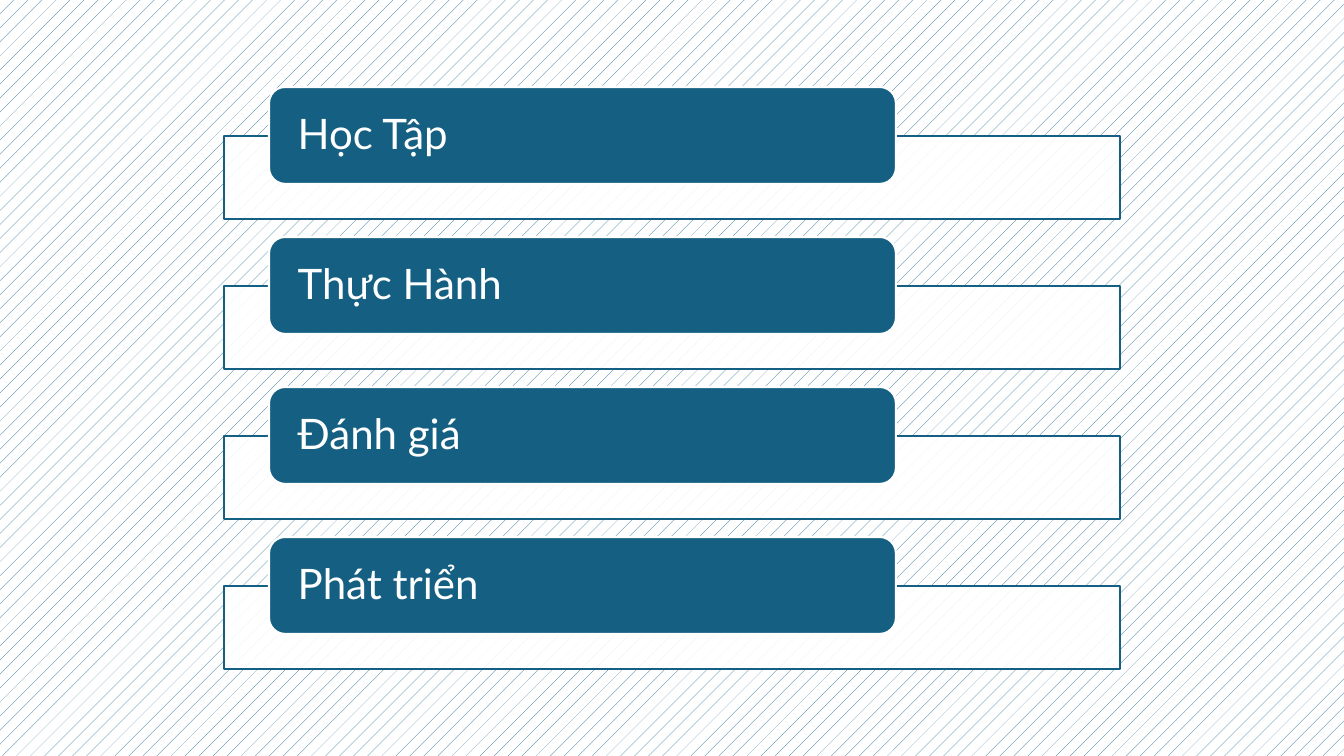
from pptx import Presentation
from pptx.dml.color import RGBColor
from pptx.enum.dml import MSO_PATTERN
from pptx.enum.shapes import MSO_SHAPE
from pptx.enum.text import MSO_ANCHOR, PP_ALIGN
from pptx.oxml.ns import qn
from pptx.util import Pt
from lxml.etree import SubElement

PX = 12192000 / 1344
BLUE, WHITE = "156082", "FFFFFF"
STEPS = ["Học Tập", "Thực Hành", "Đánh giá", "Phát triển"]
PITCH = 150


def color(code):
    return RGBColor.from_string(code)


def write(shape, text, size=30, font="Lato", ink=WHITE, inset=24):
    frame = shape.text_frame
    frame.word_wrap = True
    frame.vertical_anchor = MSO_ANCHOR.MIDDLE
    frame.margin_left = frame.margin_right = round(inset * PX)
    frame.margin_top = frame.margin_bottom = 0
    para = frame.paragraphs[0]
    para.alignment = PP_ALIGN.LEFT
    para.line_spacing = 0.9
    run = para.add_run()
    run.text = text
    run.font.size = Pt(size)
    run.font.name = font
    run.font.color.rgb = color(ink)


deck = Presentation()
deck.slide_width, deck.slide_height = round(1344 * PX), round(756 * PX)
slide = deck.slides.add_slide(deck.slide_layouts[6])

# Dotted background
back = slide.background.fill
back.patterned()
back.pattern = MSO_PATTERN.PERCENT_5
back.fore_color.rgb = color(BLUE)
back.back_color.rgb = color(WHITE)

# One open bar with a rounded label per step
for row, step in enumerate(STEPS):
    top = row * PITCH
    parts = [
        (MSO_SHAPE.RECTANGLE, (224, 136 + top, 896, 83), WHITE, BLUE),
        (MSO_SHAPE.ROUNDED_RECTANGLE, (269, 87 + top, 627, 97), BLUE, WHITE),
    ]
    for kind, box, fill, edge in parts:
        shape = slide.shapes.add_shape(kind, *[round(n * PX) for n in box])
        shape.shadow.inherit = False
        shape.fill.solid()
        shape.fill.fore_color.rgb = color(fill)
        shape.line.color.rgb = color(edge)
        shape.line.width = Pt(1.5)
        if kind == MSO_SHAPE.RECTANGLE:
            # Let the background show faintly through the bar
            tint = shape.fill._xPr.find(qn("a:solidFill"))[0]
            SubElement(tint, qn("a:alpha")).set("val", "90000")
        else:
            write(shape, step)

deck.save("out.pptx")
